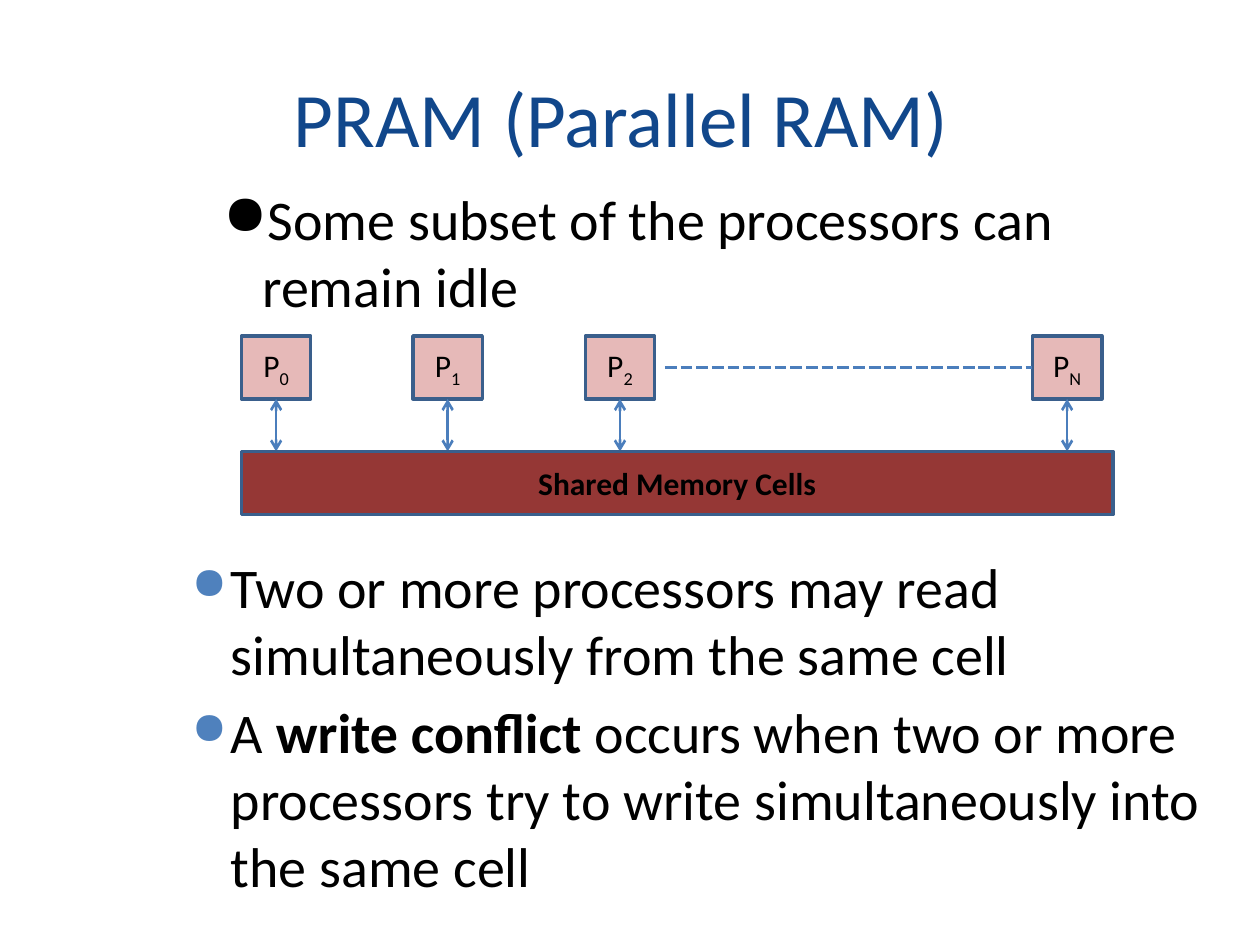
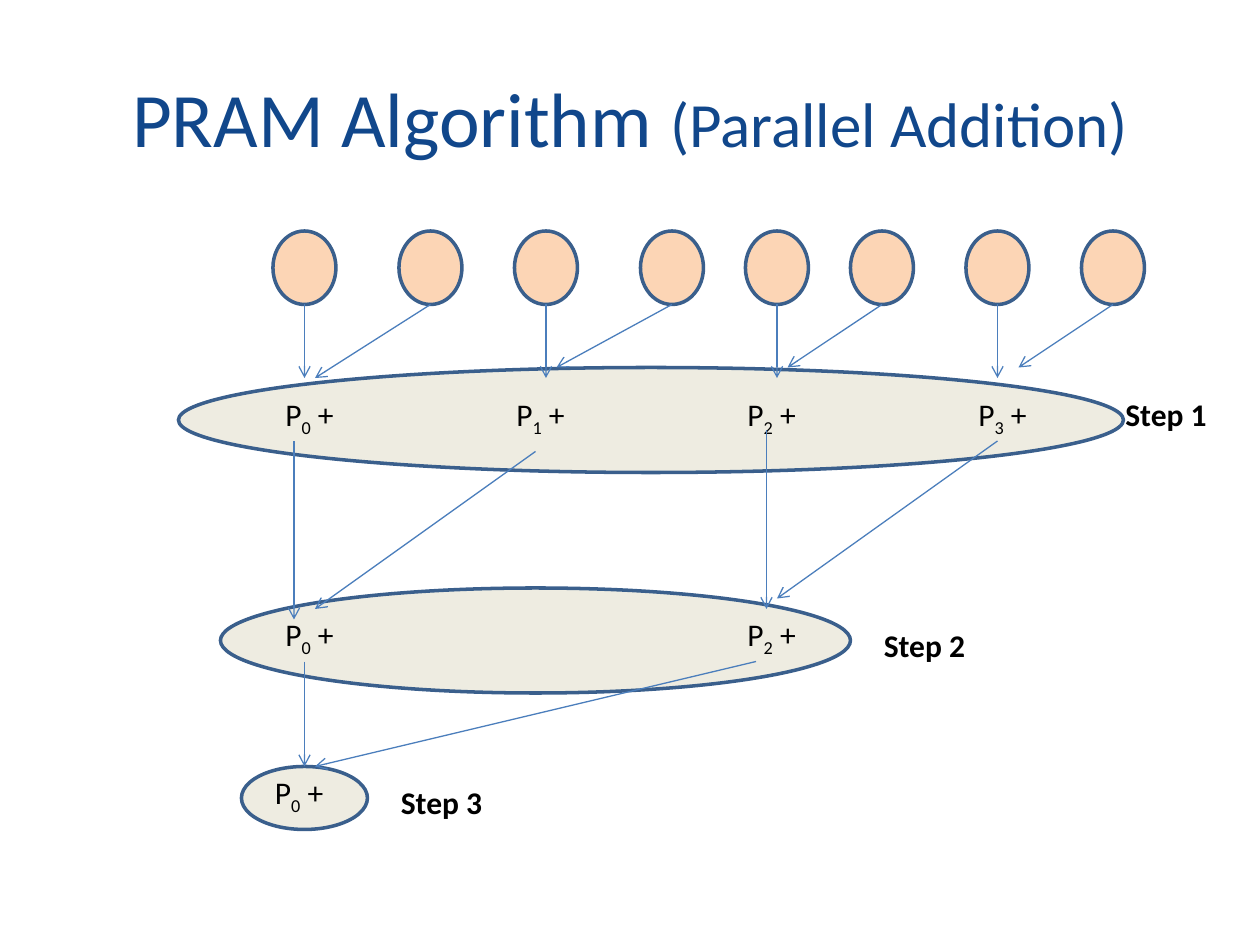
from lxml import etree
from pptx import Presentation
from pptx.dml.color import RGBColor
from pptx.enum.dml import MSO_LINE
from pptx.enum.shapes import MSO_CONNECTOR, MSO_SHAPE
from pptx.enum.text import MSO_ANCHOR, PP_ALIGN
from pptx.oxml.ns import qn
from pptx.util import Pt

RECT, OVAL = MSO_SHAPE.RECTANGLE, MSO_SHAPE.OVAL
STRAIGHT = MSO_CONNECTOR.STRAIGHT
DASH = MSO_LINE.SQUARE_DOT
CENTER = PP_ALIGN.CENTER
MIDDLE = MSO_ANCHOR.MIDDLE

FONT = "Calibri"
TITLE_BLUE = RGBColor(0x11, 0x47, 0x8B)
BLACK = RGBColor(0, 0, 0)
OUTLINE = RGBColor(0x3A, 0x5F, 0x8C)
ARROW_BLUE = RGBColor(0x4B, 0x7E, 0xBC)
PROCESSOR_PINK = RGBColor(0xE6, 0xB9, 0xB8)
MEMORY_RED = RGBColor(0x95, 0x37, 0x35)
STEP_BEIGE = RGBColor(0xEE, 0xEC, 0xE1)
INPUT_PEACH = RGBColor(0xFC, 0xD5, 0xB5)
BULLET_BLUE = "4F81BD"

# Content: a text is a list of (words, style) runs
PRAM_TITLE = [("PRAM (Parallel RAM) ", {})]
IDLE_NOTE = [[("Some subset of the processors can remain idle", {})]]
CONFLICT_NOTES = [
    [("Two or more processors may read simultaneously from the same cell", {})],
    [("A ", {}), ("write conflict ", {"bold": True}),
     ("occurs when two or more processors try to write simultaneously "
      "into the same cell", {})],
]
PROCESSORS = [("0", 138), ("1", 236), ("2", 334.5), ("N", 590)]
MEMORY = [("Shared Memory Cells", {"bold": True})]

ADDITION_TITLE = [("PRAM Algorithm ", {}), ("(Parallel Addition)", {"size": 36})]
INPUT_LEFTS = [156, 228, 294, 366, 426, 486, 552, 618]
# Ends of the slanted input arrows
PAIR_ENDS = [(180, 216), (318, 210), (450, 210), (582, 210)]
STEPS = [
    {"name": "Step 1", "name_at": (636, 222), "oval": (102, 210, 540, 60),
     "adders_top": 222,
     "adders": [(str(i), 156 + 132 * i) for i in range(4)]},
    {"name": "Step 2", "name_at": (498, 354), "oval": (126, 336, 360, 60),
     "adders_top": 348, "adders": [("0", 156), ("2", 420)]},
    {"name": "Step 3", "name_at": (222, 444), "oval": (138, 438, 72, 36),
     "adders_top": 438, "adders": [("0", 150)]},
]
SUM_ARROWS = [
    ((168, 252), (168, 354)), ((306, 258), (180, 348)),
    ((438, 246), (438, 348)), ((570, 252), (444, 342)),
    ((174, 378), (174, 438)), ((432, 378), (180, 438)),
]


# Shared drawing helpers
def write(paragraph, runs, size, color=BLACK):
    for words, style in runs:
        run = paragraph.add_run()
        run.text = words
        run.font.name = FONT
        run.font.size = Pt(style.get("size", size))
        run.font.color.rgb = color
        run.font.bold = style.get("bold", False)
        if style.get("sub"):
            run._r.get_or_add_rPr().set("baseline", "-25000")


def processor_name(index):
    return [("P", {}), (index, {"sub": True})]


def add_titled_slide(deck, runs):
    slide = deck.slides.add_slide(deck.slide_layouts[5])
    title = slide.shapes.title
    title.left, title.top, title.width, title.height = map(Pt, (36, 21.6, 648, 90))
    title.text_frame.vertical_anchor = MIDDLE
    paragraph = title.text_frame.paragraphs[0]
    paragraph.alignment = CENTER
    write(paragraph, runs, 44, TITLE_BLUE)
    return slide


def add_block(slide, kind, box, fill, runs=()):
    block = slide.shapes.add_shape(kind, *map(Pt, box))
    block.shadow.inherit = False
    block.fill.solid()
    block.fill.fore_color.rgb = fill
    block.line.color.rgb = OUTLINE
    block.line.width = Pt(2)
    block.text_frame.vertical_anchor = MIDDLE
    paragraph = block.text_frame.paragraphs[0]
    paragraph.alignment = CENTER
    write(paragraph, runs, 18)


def add_line(slide, start, end, width=0.75, ends=("tailEnd",), dash=None):
    line = slide.shapes.add_connector(STRAIGHT, *map(Pt, (*start, *end)))
    line.line.color.rgb = ARROW_BLUE
    line.line.width = Pt(width)
    if dash:
        line.line.dash_style = dash
    for end_name in ends:
        etree.SubElement(line.line._get_or_add_ln(), qn("a:" + end_name), type="arrow")
    etree.SubElement(line._element.spPr, qn("a:effectLst"))


def add_label(slide, box, runs, wrap):
    frame = slide.shapes.add_textbox(*map(Pt, box)).text_frame
    frame.word_wrap = wrap
    write(frame.paragraphs[0], runs, 18)


def add_bullets(slide, box, notes, bullet_color=None):
    frame = slide.shapes.add_textbox(*map(Pt, box)).text_frame
    frame.word_wrap = True
    for number, runs in enumerate(notes):
        paragraph = frame.add_paragraph() if number else frame.paragraphs[0]
        paragraph.space_before = Pt(6)
        write(paragraph, runs, 32)
        props = paragraph._p.get_or_add_pPr()
        props.set("marL", str(Pt(28.8)))
        props.set("indent", str(Pt(-22.3)))
        if bullet_color:
            tint = etree.SubElement(props, qn("a:buClr"))
            etree.SubElement(tint, qn("a:srgbClr"), val=bullet_color)
            etree.SubElement(props, qn("a:buSzPct"), val="80000")
        etree.SubElement(props, qn("a:buChar"), char="●")


def build_pram(deck):
    slide = add_titled_slide(deck, PRAM_TITLE)
    add_bullets(slide, (114, 102, 590, 78), IDLE_NOTE)

    # Processors linked to the shared memory
    size, top, memory_top = (39.6, 36), 192, 258
    for index, left in PROCESSORS:
        add_block(slide, RECT, (left, top, *size), PROCESSOR_PINK,
                  processor_name(index))
        middle = left + size[0] / 2
        add_line(slide, (middle, top + size[1]), (middle, memory_top), 1.5,
                 ("headEnd", "tailEnd"))
    add_line(slide, (380, 210), (PROCESSORS[-1][1], 210), 2.25, (), DASH)
    add_block(slide, RECT, (138, memory_top, 498, 36), MEMORY_RED, MEMORY)

    add_bullets(slide, (96, 312, 606, 216), CONFLICT_NOTES, BULLET_BLUE)


def build_addition(deck):
    slide = add_titled_slide(deck, ADDITION_TITLE)
    for step in STEPS:
        add_block(slide, OVAL, step["oval"], STEP_BEIGE)

    # Inputs feed the first step in pairs
    width, height, top = 36, 42, 132
    bottom = top + height
    for left in INPUT_LEFTS:
        add_block(slide, OVAL, (left, top, width, height), INPUT_PEACH)
    for first, second, pair_end in zip(INPUT_LEFTS[::2], INPUT_LEFTS[1::2], PAIR_ENDS):
        middle = first + width / 2
        add_line(slide, (middle, bottom), (middle, 216))
        add_line(slide, (second + width / 2, bottom), pair_end)

    # Adders and step names
    for step in STEPS:
        for index, left in step["adders"]:
            add_label(slide, (left, step["adders_top"], 45.4, 29),
                      processor_name(index) + [(" +", {})], False)
        add_label(slide, (*step["name_at"], 72, 29),
                  [(step["name"], {"bold": True})], True)

    # Partial sums
    for start, end in SUM_ARROWS:
        add_line(slide, start, end)


def main():
    deck = Presentation()
    deck.slide_width, deck.slide_height = Pt(720), Pt(540)
    build_pram(deck)
    build_addition(deck)
    deck.save("out.pptx")


if __name__ == "__main__":
    main()
